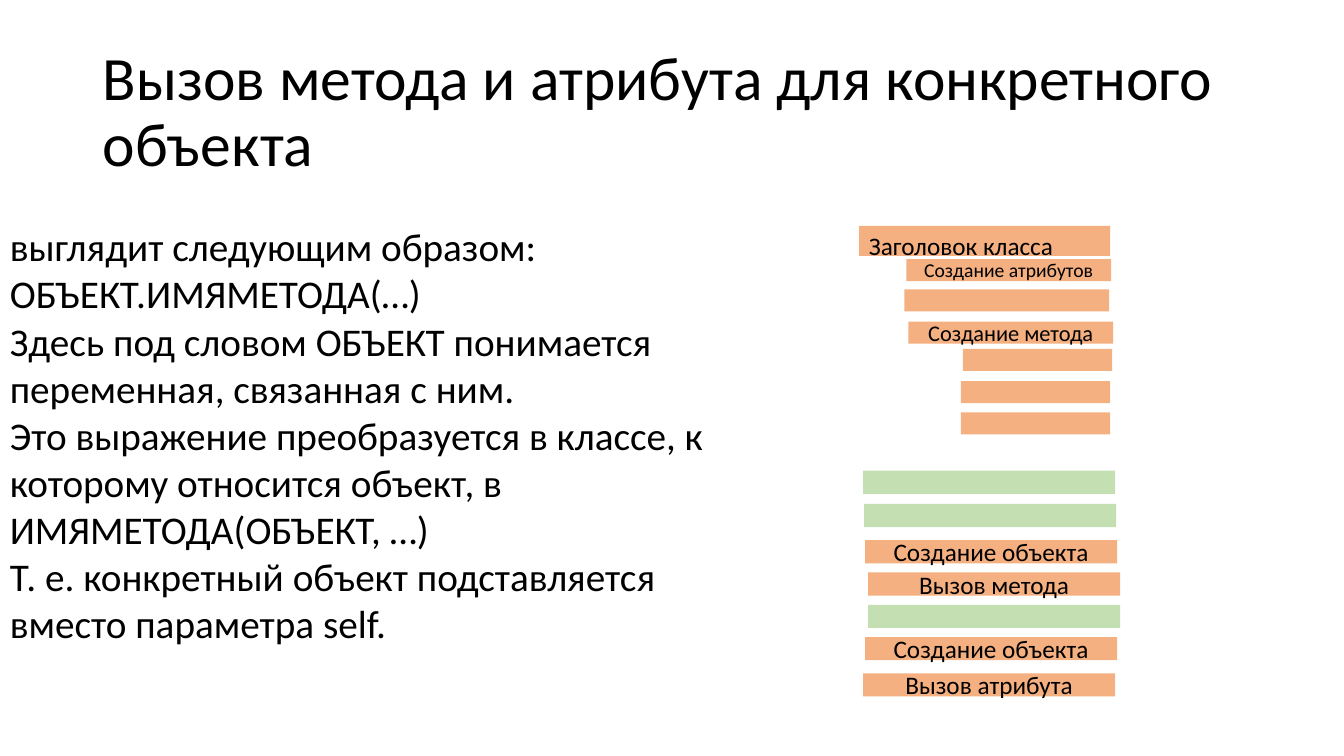
"""Build a slide on calling a method and an attribute of a specific object."""
from pptx import Presentation
from pptx.dml.color import RGBColor
from pptx.enum.shapes import MSO_SHAPE
from pptx.enum.text import MSO_ANCHOR, PP_ALIGN
from pptx.util import Inches, Pt

RECTANGLE = MSO_SHAPE.RECTANGLE
TOP, MIDDLE = MSO_ANCHOR.TOP, MSO_ANCHOR.MIDDLE
LEFT, CENTER = PP_ALIGN.LEFT, PP_ALIGN.CENTER

TITLE = ["Вызов метода и атрибута для конкретного объекта"]
EXPLANATION = [
    "выглядит следующим образом:",
    "ОБЪЕКТ.ИМЯМЕТОДА(…)",
    "Здесь под словом ОБЪЕКТ понимается переменная, связанная с ним.",
    "Это выражение преобразуется в классе, к которому относится объект, в",
    "ИМЯМЕТОДА(ОБЪЕКТ, …)",
    "Т. е. конкретный объект подставляется вместо параметра self.",
]
ORANGE, GREEN, BLACK = "F4B081", "C4E0B2", "000000"

BAR_SIZES = {
    "header": (2.49, 0.3),
    "member": (2.03, 0.22),
    "body": (1.48, 0.22),
    "program": (2.5, 0.23),
}
CODE_BARS = [
    ("header", 8.52, 2.24, ORANGE, "Заголовок класса", 18),
    ("member", 8.99, 2.57, ORANGE, "Создание атрибутов", 14),
    ("member", 8.97, 2.87, ORANGE, "", 14),
    ("member", 9.01, 3.19, ORANGE, "Создание метода", 16),
    ("body", 9.55, 3.46, ORANGE, "", 16),
    ("body", 9.53, 3.78, ORANGE, "", 16),
    ("body", 9.53, 4.09, ORANGE, "", 16),
    ("program", 8.56, 4.67, GREEN, "", 18),
    ("program", 8.57, 5, GREEN, "", 18),
    ("program", 8.58, 5.36, ORANGE, "Создание объекта", 18),
    ("program", 8.61, 5.68, ORANGE, "Вызов метода", 18),
    ("program", 8.61, 6, GREEN, "", 18),
    ("program", 8.58, 6.32, ORANGE, "Создание объекта", 18),
    ("program", 8.56, 6.68, ORANGE, "Вызов атрибута", 18),
]


def color(hex_value):
    return RGBColor.from_string(hex_value)


def write(frame, lines, size, anchor=TOP, align=LEFT, spacing=1.0):
    frame.word_wrap = True
    frame.vertical_anchor = anchor
    font_format = {"name": "Calibri", "size": Pt(size)}
    for index, line in enumerate(lines):
        paragraph = frame.paragraphs[0] if index == 0 else frame.add_paragraph()
        paragraph.alignment = align
        paragraph.line_spacing = spacing
        run = paragraph.add_run()
        run.text = line
        for attribute, value in font_format.items():
            setattr(run.font, attribute, value)
        run.font.color.rgb = color(BLACK)


def add_bar(slide, kind, left, top, fill, label, size):
    box = map(Inches, (left, top, *BAR_SIZES[kind]))
    bar = slide.shapes.add_shape(RECTANGLE, *box)
    bar.shadow.inherit = False
    bar.fill.solid()
    bar.fill.fore_color.rgb = color(fill)
    bar.line.fill.background()
    if label:
        is_header = kind == "header"
        write(bar.text_frame, [label], size,
              TOP if is_header else MIDDLE, LEFT if is_header else CENTER)


def main():
    deck = Presentation()
    deck.slide_width, deck.slide_height = Inches(13.33), Inches(7.5)
    slide = deck.slides.add_slide(deck.slide_layouts[6])

    title = slide.shapes.add_textbox(*map(Inches, (0.92, 0.4, 11.5, 1.45)))
    write(title.text_frame, TITLE, 44, MIDDLE, spacing=0.9)
    explanation = slide.shapes.add_textbox(*map(Inches, (0, 2.16, 7.76, 5.11)))
    write(explanation.text_frame, EXPLANATION, 28)
    for bar in CODE_BARS:
        add_bar(slide, *bar)

    deck.save("out.pptx")


if __name__ == "__main__":
    main()
